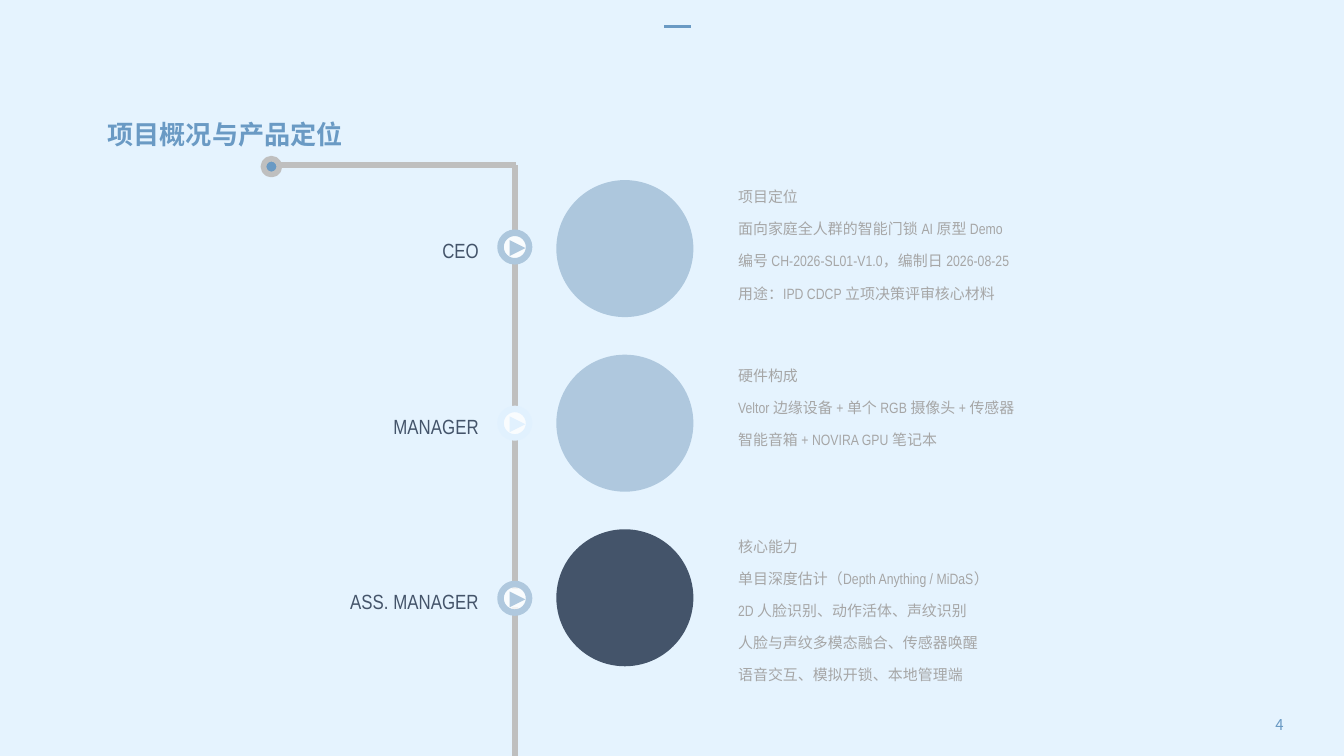
from lxml import etree
from pptx import Presentation
from pptx.dml.color import RGBColor
from pptx.enum.shapes import MSO_CONNECTOR, MSO_SHAPE
from pptx.enum.text import MSO_ANCHOR, PP_ALIGN
from pptx.oxml.ns import qn
from pptx.util import Cm, Pt

STRAIGHT = MSO_CONNECTOR.STRAIGHT
OVAL, TRIANGLE = MSO_SHAPE.OVAL, MSO_SHAPE.ISOSCELES_TRIANGLE
TOP, MIDDLE = MSO_ANCHOR.TOP, MSO_ANCHOR.MIDDLE
LEFT, RIGHT, JUSTIFY = PP_ALIGN.LEFT, PP_ALIGN.RIGHT, PP_ALIGN.JUSTIFY
NARROW, CJK = "Arial Narrow", "Noto Sans CJK SC"

COLORS = {
    "bg": "E5F3FE",
    "accent": "6A9AC4",
    "rail": "BFBFBF",
    "body": "A6A6A6",
    "dark": "44546A",
    "blue": "ADC7DD",
    "mist": "AFC8DE",
    "pale": "E1F1FE",
    "white": "FFFFFF",
}
RGB = {name: RGBColor.from_string(value) for name, value in COLORS.items()}


def add_shape(kind, cx, cy, size, fill, line=None, weight=3):
    sp = s.shapes.add_shape(kind, Cm(cx - size / 2), Cm(cy - size / 2), Cm(size), Cm(size))
    sp.shadow.inherit = False
    sp.fill.solid()
    sp.fill.fore_color.rgb = RGB[fill]
    if line:
        sp.line.color.rgb = RGB[line]
        sp.line.width = Pt(weight)
    else:
        sp.line.fill.background()
    return sp


def add_text(lines, x, y, w, h, size, color, font=NARROW, align=LEFT, anchor=TOP,
             bold=False, inset=(0.25, 0.13), before=0, after=0, spacing=None):
    tf = s.shapes.add_textbox(Cm(x), Cm(y), Cm(w), Cm(h)).text_frame
    tf.word_wrap = True
    tf.vertical_anchor = anchor
    tf.margin_left = tf.margin_right = Cm(inset[0])
    tf.margin_top = tf.margin_bottom = Cm(inset[1])
    for i, text in enumerate(lines):
        p = tf.add_paragraph() if i else tf.paragraphs[0]
        p.alignment = align
        p.space_before = Pt(before if i else 0)
        p.space_after = Pt(after)
        if spacing:
            p.line_spacing = Pt(spacing)
        r = p.add_run()
        r.text = text
        r.font.name = font
        r.font.size = Pt(size)
        r.font.bold = bold
        r.font.color.rgb = RGB[color]
        etree.SubElement(r._r.get_or_add_rPr(), qn("a:ea"), typeface=CJK)


prs = Presentation()
prs.slide_width, prs.slide_height = Cm(25.4), Cm(14.29)
s = prs.slides.add_slide(prs.slide_layouts[6])
s.background.fill.solid()
s.background.fill.fore_color.rgb = RGB["bg"]

rail_x, rail_y = 9.73, 3.12
lines = [(rail_x, top, rail_x, bottom, "rail", 3)
         for top, bottom in [(rail_y, 4.47), (4.9, 7.75), (8.2, 11.13), (11.48, 14.29)]]
lines += [(9.75, rail_y, 5.26, rail_y, "rail", 3), (12.55, 0.5, 13.06, 0.5, "accent", 1.5)]
for x1, y1, x2, y2, color, weight in lines:
    c = s.shapes.add_connector(STRAIGHT, Cm(x1), Cm(y1), Cm(x2), Cm(y2))
    c.line.color.rgb = RGB[color]
    c.line.width = Pt(weight)
    etree.SubElement(c._element.spPr, qn("a:effectLst"))

add_shape(OVAL, 5.13, 3.15, 0.3, "accent", "rail")

sections = [
    ("CEO", 4.67, "blue", "blue", 3.45, [
        "项目定位",
        "面向家庭全人群的智能门锁 AI 原型 Demo",
        "编号 CH-2026-SL01-V1.0，编制日 2026-08-25",
        "用途：IPD CDCP 立项决策评审核心材料",
    ]),
    ("MANAGER", 8.0, "pale", "mist", 6.83, [
        "硬件构成",
        "Veltor 边缘设备 + 单个 RGB 摄像头 + 传感器",
        "智能音箱 + NOVIRA GPU 笔记本",
    ]),
    ("ASS. MANAGER", 11.31, "mist", "dark", 10.06, [
        "核心能力",
        "单目深度估计（Depth Anything / MiDaS）",
        "2D 人脸识别、动作活体、声纹识别",
        "人脸与声纹多模态融合、传感器唤醒",
        "语音交互、模拟开锁、本地管理端",
    ]),
]
for i, (role, node_y, node_color, disc_color, text_y, body) in enumerate(sections):
    node = add_shape(OVAL, rail_x, node_y, 0.54, "white", node_color, 3.5)
    white = node._element.spPr.find(qn("a:solidFill"))[0]
    etree.SubElement(white, qn("a:alpha"), val="80000")
    arrow = add_shape(TRIANGLE, rail_x + 0.05, node_y + 0.02, 0.3, node_color)
    arrow.rotation = 90
    add_text([role], 6.3, node_y - 0.3, 3, 0.76, 11, "dark", align=RIGHT)
    add_shape(OVAL, 11.81, 4.7 + 3.3 * i, 2.59, disc_color)
    add_text(body, 13.77, text_y, 6.43, 2.46, 8, "body", align=JUSTIFY,
             inset=(0.18, 0.1), before=1.6, after=6, spacing=9.6)

add_text(["项目概况与产品定位"], 1.78, 2.13, 10.92, 0.81, 14, "accent", CJK,
         anchor=MIDDLE, bold=True)
add_text(["4"], 22.99, 13.41, 1.52, 0.56, 8, "accent", CJK, align=RIGHT, anchor=MIDDLE)

prs.save("out.pptx")
